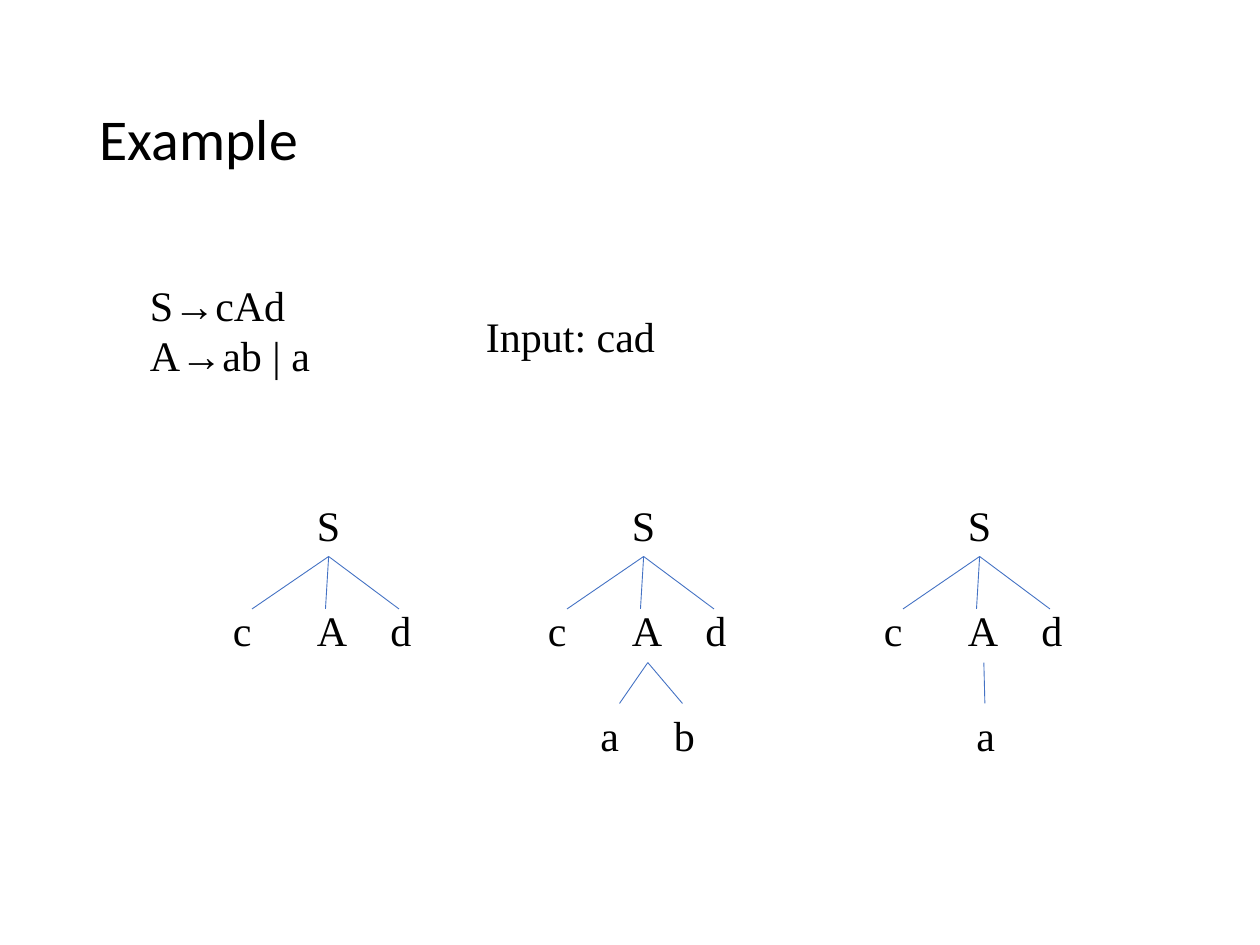
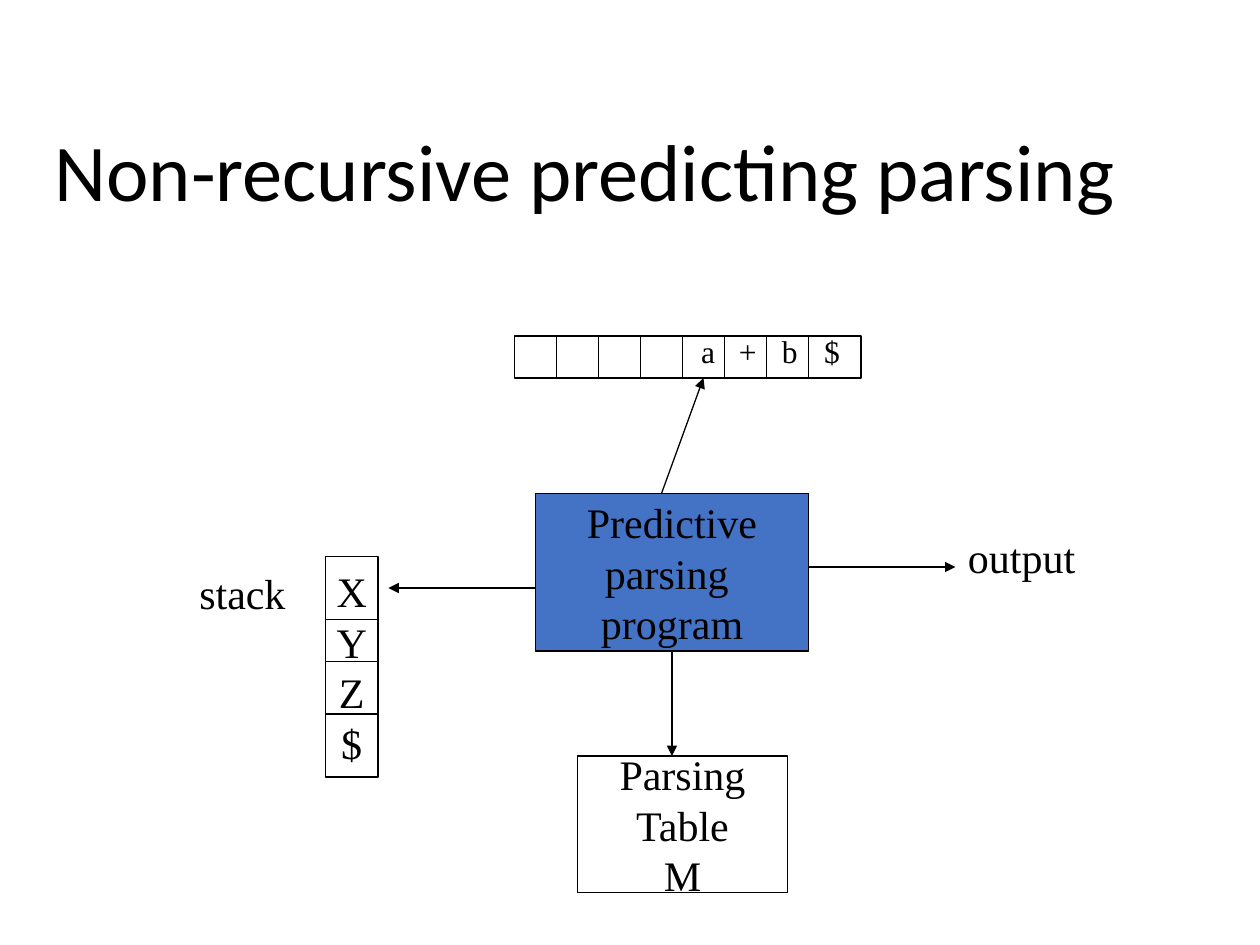
from lxml import etree
from pptx import Presentation
from pptx import util as u
from pptx.dml.color import RGBColor
from pptx.enum import shapes, text
from pptx.oxml.ns import qn

COLORS = {"ink": "000000", "accent": "4472C4"}
FONTS = {"title": "Calibri", "body": "Times New Roman"}
COLUMNS, ROWS = 120, 90
TITLE_ONLY = 5
LABEL_WIDTHS = {"S": 4.6, "c": 4.2, "A": 5.3, "d": 4.3, "a": 4.2, "b": 4.3}


def color(name):
    return RGBColor.from_string(COLORS[name])


def write(frame, words, size=24, font="body", align="LEFT", anchor="TOP",
          wrap=False, grow=False, spacing=None):
    frame.text = words
    frame.word_wrap = wrap
    frame.vertical_anchor = text.MSO_ANCHOR[anchor]
    frame.auto_size = (text.MSO_AUTO_SIZE.SHAPE_TO_FIT_TEXT if grow
                       else text.MSO_AUTO_SIZE.NONE)
    for para in frame.paragraphs:
        para.alignment = text.PP_ALIGN[align]
        para.line_spacing = spacing
        for span in para.runs:
            span.font.size = u.Pt(size)
            span.font.name = FONTS[font]
            span.font.color.rgb = color("ink")


class Board:
    def __init__(self, deck):
        self.deck = deck
        self.page = None
        self.target = None

    def x(self, column):
        return round(self.deck.slide_width * column / COLUMNS)

    def y(self, row):
        return round(self.deck.slide_height * row / ROWS)

    def area(self, column, row, width, height):
        return self.x(column), self.y(row), self.x(width), self.y(height)

    def new_page(self, title, size, area):
        self.page = self.deck.slides.add_slide(self.deck.slide_layouts[TITLE_ONLY])
        self.target = self.page.shapes
        box = self.page.shapes.title
        box.left, box.top, box.width, box.height = self.area(*area)
        write(box.text_frame, title, size=size, font="title", anchor="MIDDLE",
              wrap=True, spacing=0.9)

    def label(self, words, column, row, width, height=6, size=24):
        box = self.target.add_textbox(*self.area(column, row, width, height))
        write(box.text_frame, words, size=size, grow=True)

    def block(self, area, words="", fill=None):
        box = self.target.add_shape(shapes.MSO_SHAPE.RECTANGLE, *self.area(*area))
        box.shadow.inherit = False
        if fill:
            box.fill.solid()
            box.fill.fore_color.rgb = color(fill)
        else:
            box.fill.background()
        box.line.color.rgb = color("ink")
        box.line.width = u.Pt(0.75)
        if words:
            write(box.text_frame, words, align="CENTER", anchor="MIDDLE")

    def line(self, start, end, ink="ink", weight=0.75, arrow=False):
        link = self.target.add_connector(
            shapes.MSO_CONNECTOR.STRAIGHT,
            self.x(start[0]), self.y(start[1]), self.x(end[0]), self.y(end[1]))
        link.line.color.rgb = color(ink)
        link.line.width = u.Pt(weight)
        if arrow:
            etree.SubElement(link.line._ln, qn("a:tailEnd"), type="triangle")
        etree.SubElement(link._element.spPr, qn("a:effectLst"))

    def branches(self, apex, ends):
        for end in ends:
            self.line(apex, end, ink="accent", weight=0.5)

    def tree(self, left, leaves):
        self.target = self.page.shapes.add_group_shape().shapes
        for symbol, offset, row in [("S", 8, 47), ("c", 0, 57), ("A", 8, 57), ("d", 15, 57)]:
            self.label(symbol, left + offset, row, LABEL_WIDTHS[symbol])
        self.branches((left + 10.3, 53), [(left + offset, 58) for offset in (3, 10, 17)])
        for symbol, offset, end in leaves:
            self.label(symbol, left + offset, 67, LABEL_WIDTHS[symbol])
            self.branches((left + 10.7, 63.1), [(left + end, 67)])
        self.target = self.page.shapes


def example(board):
    board.new_page("Example", 33, (8.3, 4.8, 103.5, 17.4))
    board.label("S→cAd\nA→ab | a", 13.1, 26, 17.6, 10.8)
    board.label("Input: cad", 45.1, 29, 18.5)
    board.tree(21, [])
    board.tree(51, [("a", 5, 8), ("b", 12, 14)])
    board.tree(83, [("a", 8.8, 10.8)])


def predictive_parser(board):
    board.new_page("Non-recursive predicting parsing", 46, (4, 9.2, 111, 15))

    board.block((49, 32, 33, 4))
    for column in range(53, 78, 4):
        board.line((column, 32), (column, 36))
    for symbol, column, width in [("a", 65.6, 3.7), ("+", 69.2, 4.1),
                                  ("b", 73.3, 3.8), ("$", 77.3, 3.8)]:
        board.label(symbol, column, 31, width, 4.8, size=18)

    board.block((51, 47, 26, 15), "Predictive\nparsing \nprogram", fill="accent")
    board.block((55, 72, 20, 13), "Parsing\nTable\nM")
    board.block((31, 53, 5, 21), "X\nY\nZ\n$")
    for row in (59, 63, 68):
        board.line((31, row), (36, row))
    board.label("output", 91, 50, 12.6)
    board.label("stack", 17.8, 53.5, 10.6)

    for start, end in [((63, 47), (67, 36)), ((77, 54), (91, 54)),
                       ((64, 62), (64, 72)), ((51, 56), (37, 56))]:
        board.line(start, end, arrow=True)


def main():
    deck = Presentation()
    deck.slide_width, deck.slide_height = u.Inches(10), u.Inches(7.5)
    board = Board(deck)
    example(board)
    predictive_parser(board)
    deck.save("out.pptx")


if __name__ == "__main__":
    main()
